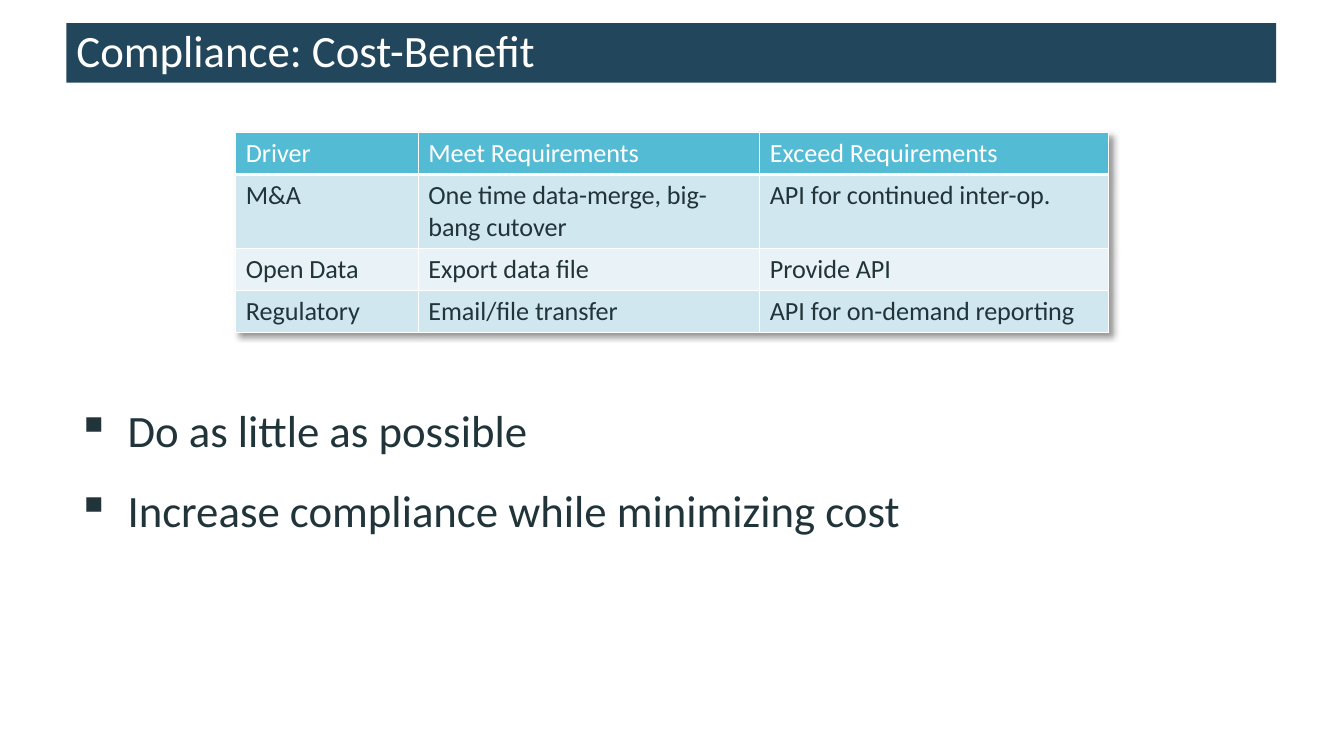
from lxml.etree import SubElement
from pptx import Presentation
from pptx.dml.color import RGBColor
from pptx.enum.shapes import MSO_SHAPE
from pptx.enum.text import MSO_ANCHOR as Anchor, PP_ALIGN as Align
from pptx.oxml import parse_xml
from pptx.oxml.ns import nsdecls, qn
from pptx.util import Pt

WHITE, INK, NAVY, TEAL = "FFFFFF", "20343A", "22475C", "53BBD4"
BANDS = ["D1E7EF", "E9F3F7"]

DRIVERS = [
    ["Driver", "Meet Requirements", "Exceed Requirements"],
    ["M&A", "One time data-merge, big-bang cutover", "API for continued inter-op."],
    ["Open Data", "Export data file", "Provide API"],
    ["Regulatory", "Email/file transfer", "API for on-demand reporting"],
]
GOALS = ["Do as little as possible", "Increase compliance while minimizing cost"]


def rgb(hex_colour):
    return RGBColor.from_string(hex_colour)


def assign(target, values):
    for name, value in values.items():
        setattr(target, name, value)


class SlideBuilder:
    font_name = "Calibri"
    heading_size = 32
    table_size = 18.67

    def __init__(self, slide):
        self.shapes = slide.shapes

    def style(self, paragraph, size, colour, **layout):
        assign(paragraph, layout)
        assign(paragraph.font, {"name": self.font_name, "size": Pt(size), "bold": False})
        paragraph.font.color.rgb = rgb(colour)

    def border(self, cell, header):
        """Draw white cell edges, thicker under the header."""
        properties = cell._tc.get_or_add_tcPr()
        for position, side in enumerate("LRTB"):
            width = 3 if header and side == "B" else 1
            properties.insert(position, parse_xml(
                f'<a:ln{side} {nsdecls("a")} w="{Pt(width)}"><a:solidFill>'
                f'<a:srgbClr val="{WHITE}"/></a:solidFill></a:ln{side}>'))

    def table(self, rows, left, top, widths, heights):
        frame = self.shapes.add_table(len(rows), len(widths), Pt(left), Pt(top),
                                      Pt(sum(widths)), Pt(sum(heights)))
        grid = frame.table
        grid.horz_banding = False
        grid._tbl.tblPr.insert(0, parse_xml(
            f'<a:effectLst {nsdecls("a")}><a:outerShdw blurRad="{Pt(4)}" dist="{Pt(3)}" '
            'dir="2700000" algn="tl" rotWithShape="0"><a:srgbClr val="000000">'
            '<a:alpha val="40000"/></a:srgbClr></a:outerShdw></a:effectLst>'))
        for column, width in zip(grid.columns, widths):
            column.width = Pt(width)
        for r, texts in enumerate(rows):
            grid.rows[r].height = Pt(heights[r])
            header = r == 0
            for c, text in enumerate(texts):
                cell = grid.cell(r, c)
                cell.text = text
                cell.fill.solid()
                cell.fill.fore_color.rgb = rgb(TEAL if header else BANDS[(r - 1) % 2])
                self.border(cell, header)
                self.style(cell.text_frame.paragraphs[0], self.table_size,
                           WHITE if header else INK)

    def title(self, text, left, top, width, height):
        banner = self.shapes.add_shape(MSO_SHAPE.RECTANGLE, Pt(left), Pt(top),
                                       Pt(width), Pt(height))
        banner.shadow.inherit = False
        banner.fill.solid()
        banner.fill.fore_color.rgb = rgb(NAVY)
        banner.line.fill.background()
        frame = banner.text_frame
        assign(frame, {"text": text, "word_wrap": True, "vertical_anchor": Anchor.MIDDLE})
        self.style(frame.paragraphs[0], self.heading_size, WHITE,
                   alignment=Align.LEFT, line_spacing=0.9)

    def bullets(self, texts, left, top, width, height):
        frame = self.shapes.add_textbox(Pt(left), Pt(top), Pt(width), Pt(height)).text_frame
        frame.word_wrap = True
        for i, text in enumerate(texts):
            goal = frame.add_paragraph() if i else frame.paragraphs[0]
            goal.text = text
            properties = goal._p.get_or_add_pPr()
            properties.set("marL", str(Pt(36)))
            properties.set("indent", str(-Pt(36)))
            colour = SubElement(properties, qn("a:buClr"))
            SubElement(colour, qn("a:srgbClr"), val=INK)
            SubElement(properties, qn("a:buChar"), char="▪")
            self.style(goal, self.heading_size, INK, line_spacing=Pt(38.4),
                       space_before=Pt(16 if i else 0), space_after=Pt(2.7))


def main():
    deck = Presentation()
    assign(deck, {"slide_width": Pt(960), "slide_height": Pt(540)})
    builder = SlideBuilder(deck.slides.add_slide(deck.slide_layouts[6]))
    builder.table(DRIVERS, 168.5, 94.5, [130.3, 244, 249.2], [30, 52.8, 30, 30])
    builder.title("Compliance: Cost-Benefit", 47.5, 16.5, 864, 42.5)
    builder.bullets(GOALS, 48, 284, 863, 206)
    deck.save("out.pptx")


if __name__ == "__main__":
    main()
